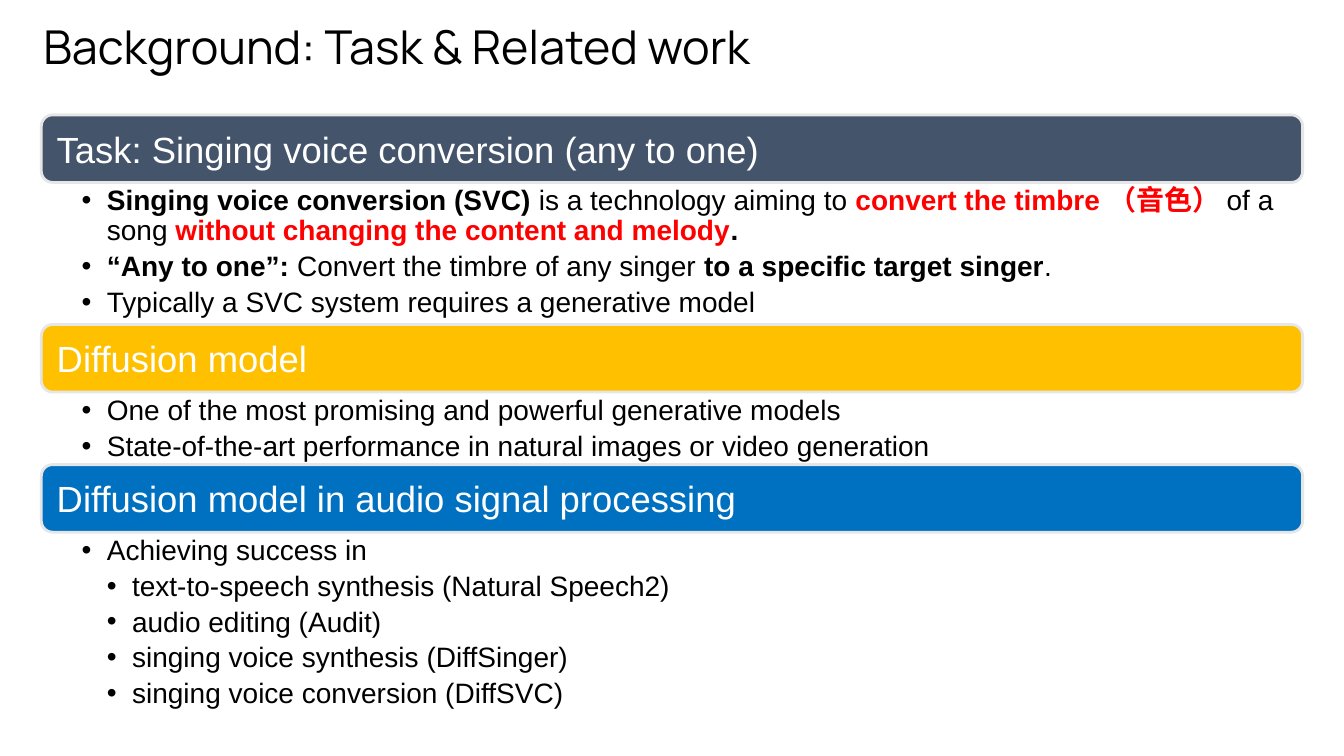
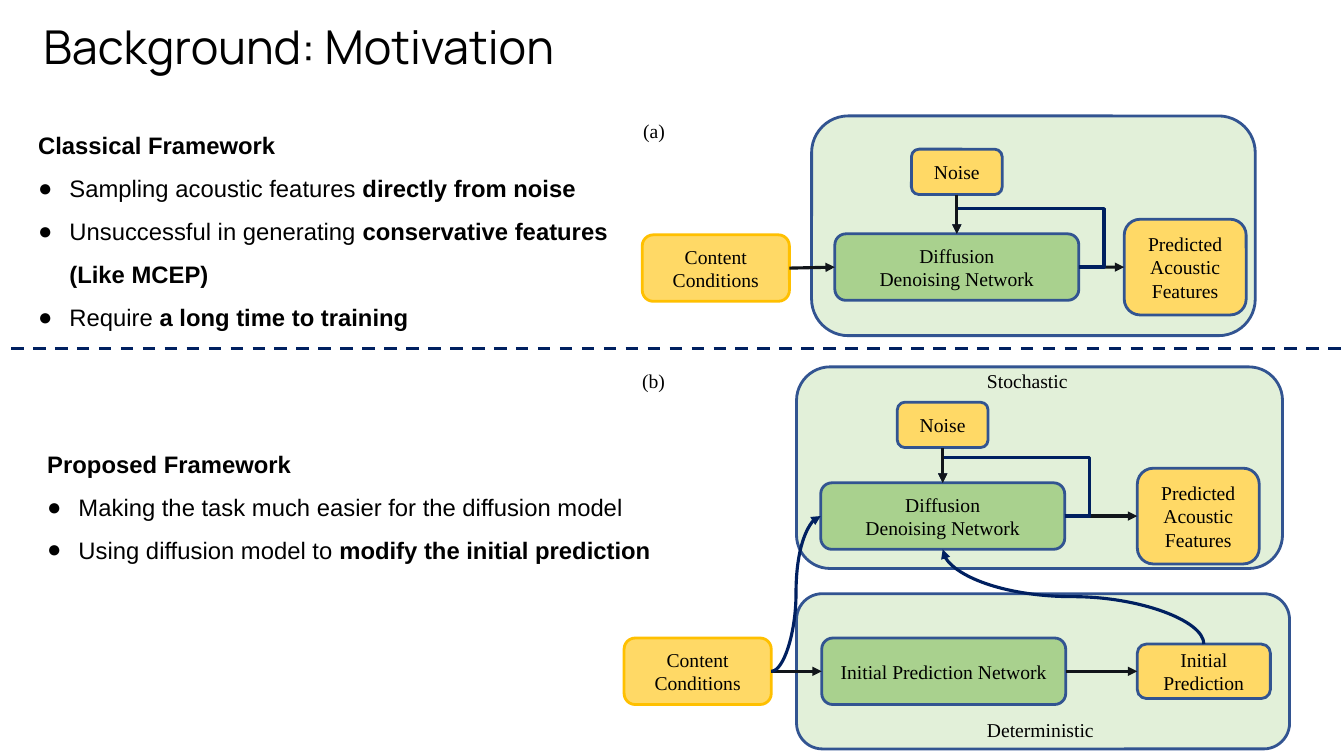
from lxml.etree import SubElement
from pptx import Presentation
from pptx.dml.color import RGBColor
from pptx.enum.dml import MSO_LINE
from pptx.enum.shapes import MSO_CONNECTOR, MSO_SHAPE
from pptx.enum.text import MSO_ANCHOR, PP_ALIGN
from pptx.oxml.ns import qn
from pptx.util import Inches, Pt

COLORS = {
    "black": "000000", "white": "FFFFFF", "red": "FF0000",
    "slate": "44546A", "amber": "FFC000", "blue": "0070C0", "band_line": "E7E6E6",
    "yellow": "FFD966", "green": "A9D18E", "panel": "E2F0D9",
    "outline": "325491", "arrow": "11151A", "navy": "002060",
}
SANS, SERIF, TITLE_FONT = "Arial", "Times New Roman", "Manrope"
TOP, LEFT, BOTTOM, RIGHT = range(4)

# A paragraph is (level, pieces); a piece is (text, bold, color).
SECTIONS = [
    ("Task: Singing voice conversion (any to one)", "slate", 1.41, [
        (1, [("Singing voice conversion (SVC) ", True, "black"),
             ("is a technology aiming to ", False, "black"),
             ("convert the timbre （音色）", True, "red"),
             (" of a song ", False, "black"),
             ("without changing the content and melody", True, "red"),
             (".", True, "black")]),
        (1, [("“Any to one”: ", True, "black"),
             ("Convert the timbre of any singer ", False, "black"),
             ("to a specific target singer", True, "black"),
             (".", False, "black")]),
        (1, [("Typically a SVC system requires a generative model", False, "black")]),
    ]),
    ("Diffusion model", "amber", 0.72, [
        (1, [("One of the most promising and powerful generative models", False, "black")]),
        (1, [("State-of-the-art performance in natural images or video generation",
              False, "black")]),
    ]),
    ("Diffusion model in audio signal processing", "blue", 1.77, [
        (1, [("Achieving success in", False, "black")]),
        (2, [("text-to-speech synthesis (Natural Speech2)", False, "black")]),
        (2, [("audio editing (Audit)", False, "black")]),
        (2, [("singing voice synthesis (DiffSinger)", False, "black")]),
        (2, [("singing voice conversion (DiffSVC)", False, "black")]),
    ]),
]

FRAMEWORKS = [
    ((0.28, 1.11, 5.98, 2.19), [
        (0, [("Classical Framework", True, "black")]),
        (1, [("Sampling acoustic features ", False, "black"),
             ("directly from noise", True, "black")]),
        (1, [("Unsuccessful in generating ", False, "black"),
             ("conservative features \n(Like MCEP)", True, "black")]),
        (1, [("Require ", False, "black"), ("a long time to training", True, "black")]),
    ]),
    ((0.37, 4.27, 6.25, 1.34), [
        (0, [("Proposed Framework", True, "black")]),
        (1, [("Making the task much easier for the diffusion model", False, "black")]),
        (1, [("Using diffusion model to ", False, "black"),
             ("modify the initial prediction", True, "black")]),
    ]),
]
PANELS = [(8.05, 1.15, 4.4, 2.18), (7.9, 5.89, 4.89, 1.54), (7.9, 3.64, 4.82, 2)]
LABELS = [
    ("(a)", (6.28, 1.13, 0.6, 0.4)),
    ("(b)", (6.27, 3.61, 0.6, 0.4)),
    ("Stochastic", (9.69, 3.61, 1.32, 0.4)),
    ("Deterministic", (9.69, 7.07, 1.67, 0.4)),
]
NETWORK_SIZE = (2.42, 0.66)
CONTENT_SIZE = (1.46, 0.66)
NOISE_SIZE = (0.9, 0.45)
FEATURES_SIZE = (1.21, 0.95)


def rgb(name):
    return RGBColor.from_string(COLORS[name])


def style_run(run, size, font, color, bold=False):
    run.font.size = Pt(size)
    run.font.name = font
    run.font.bold = bold
    run.font.color.rgb = rgb(color)


def add_text_box(slide, box, insets=(0.1, 0.05, 0.1, 0.05)):
    text_frame = slide.shapes.add_textbox(*map(Inches, box)).text_frame
    text_frame.word_wrap = True
    (text_frame.margin_left, text_frame.margin_top,
     text_frame.margin_right, text_frame.margin_bottom) = map(Inches, insets)
    return text_frame


def add_label(slide, text, box, size=14, font=SERIF, insets=(0.1, 0.05, 0.1, 0.05)):
    text_frame = add_text_box(slide, box, insets)
    text_frame.text = text
    style_run(text_frame.paragraphs[0].runs[0], size, font, "black")
    return text_frame.paragraphs[0]


def add_slide(presentation, title):
    slide = presentation.slides.add_slide(presentation.slide_layouts[6])
    paragraph = add_label(slide, title, (0.3, 0.11, 12.74, 0.83), 33.3, TITLE_FONT, (0.13,) * 4)
    paragraph.line_spacing = 0.9
    return slide


def set_bullet(paragraph, character, level, indent):
    properties = paragraph._p.get_or_add_pPr()
    properties.set("marL", str(Inches(level * indent)))
    properties.set("indent", str(Inches(-indent)))
    bullet_color = SubElement(properties, qn("a:buClr"))
    SubElement(bullet_color, qn("a:srgbClr")).set("val", COLORS["black"])
    SubElement(properties, qn("a:buFont")).set("typeface", SANS)
    SubElement(properties, qn("a:buChar")).set("char", character)


def write_paragraphs(text_frame, paragraphs, size, spacing, after, character, indent):
    for index, (level, pieces) in enumerate(paragraphs):
        paragraph = text_frame.add_paragraph() if index else text_frame.paragraphs[0]
        paragraph.line_spacing = spacing
        paragraph.space_after = Pt(after)
        if level:
            set_bullet(paragraph, character, level, indent)
        for text, bold, color in pieces:
            for number, line in enumerate(text.split("\n")):
                if number:
                    paragraph.add_line_break()
                run = paragraph.add_run()
                run.text = line
                style_run(run, size, SANS, color, bold)


def add_round_box(slide, box, fill, outline, text="", size=14, font=SERIF,
                  color="black", align=PP_ALIGN.CENTER):
    shape = slide.shapes.add_shape(MSO_SHAPE.ROUNDED_RECTANGLE, *map(Inches, box))
    shape.shadow.inherit = False
    shape.fill.solid()
    shape.fill.fore_color.rgb = rgb(fill)
    shape.line.color.rgb = rgb(outline)
    shape.line.width = Pt(2)
    shape.text_frame.vertical_anchor = MSO_ANCHOR.MIDDLE
    paragraph = shape.text_frame.paragraphs[0]
    paragraph.text = text
    paragraph.alignment = align
    for run in paragraph.runs:
        style_run(run, size, font, color)
    return shape


def add_line(slide, kind, start, end, color, arrow=True, dash=None):
    connector = slide.shapes.add_connector(kind, *map(int, (*start, *end)))
    connector.line.color.rgb = rgb(color)
    connector.line.width = Pt(2.25)
    if dash:
        connector.line.dash_style = dash
    properties = connector._element.spPr
    if arrow:
        SubElement(properties.find(qn("a:ln")), qn("a:tailEnd")).set("type", "triangle")
    SubElement(properties, qn("a:effectLst"))
    return connector


def side(shape, site):
    """Return the middle of one side of a shape."""
    x = {LEFT: 0, RIGHT: 1}.get(site, 0.5)
    y = {TOP: 0, BOTTOM: 1}.get(site, 0.5)
    return shape.left + shape.width * x, shape.top + shape.height * y


def join(slide, source, source_site, target, target_site):
    connector = add_line(slide, MSO_CONNECTOR.STRAIGHT, side(source, source_site),
                         side(target, target_site), "arrow")
    connector.begin_connect(source, source_site)
    connector.end_connect(target, target_site)


def add_loop(slide, network):
    """Lead a line from the network's right side over its top and back in."""
    connector = add_line(slide, MSO_CONNECTOR.ELBOW, side(network, RIGHT),
                         side(network, TOP), "navy")
    geometry = connector._element.spPr.find(qn("a:prstGeom"))
    geometry.set("prst", "bentConnector4")
    guides = geometry.find(qn("a:avLst"))
    reach = Inches(0.25)
    ratios = (-reach / (network.width / 2), 1 + reach / (network.height / 2))
    for number, ratio in enumerate(ratios, 1):
        guide = SubElement(guides, qn("a:gd"))
        guide.set("name", f"adj{number}")
        guide.set("fmla", f"val {round(ratio * 100000)}")


def add_rising_curve(slide, start, end):
    """Curve that leaves upwards and ends upwards, to the left of its start."""
    middle_x, middle_y = (start[0] + end[0]) / 2, (start[1] + end[1]) / 2
    half_width, half_height = (start[1] - end[1]) / 2, (start[0] - end[0]) / 2
    connector = add_line(slide, MSO_CONNECTOR.CURVE,
                         (middle_x - half_width, middle_y + half_height),
                         (middle_x + half_width, middle_y - half_height), "navy")
    connector._element.spPr.find(qn("a:xfrm")).set("rot", str(270 * 60000))


def add_content(slide, left, top):
    return add_round_box(slide, (left, top, *CONTENT_SIZE), "yellow", "amber",
                         "Content\nConditions")


def add_denoiser(slide, left, top, noise_gap, features_gap):
    width, height = NETWORK_SIZE
    network = add_round_box(slide, (left, top, width, height), "green", "outline",
                            "Diffusion\nDenoising Network")
    noise_width, noise_height = NOISE_SIZE
    noise_box = (left + (width - noise_width) / 2, top - noise_gap - noise_height, *NOISE_SIZE)
    noise = add_round_box(slide, noise_box, "yellow", "outline", "Noise")
    features_top = top + (height - FEATURES_SIZE[1]) / 2
    features = add_round_box(slide, (left + width + features_gap, features_top, *FEATURES_SIZE),
                             "yellow", "outline", "Predicted\nAcoustic\nFeatures")
    join(slide, network, RIGHT, features, LEFT)
    add_loop(slide, network)
    join(slide, noise, BOTTOM, network, TOP)
    return network


def build_related_work(presentation):
    slide = add_slide(presentation, "Background: Task & Related work")
    left, top, width, band_height = 0.41, 1.14, 12.51, 0.67
    for heading, color, body_height, paragraphs in SECTIONS:
        band = add_round_box(slide, (left, top, width, band_height), color, "band_line",
                             heading, 26, SANS, "white", PP_ALIGN.LEFT)
        # The rounded corner already insets the text of the band a little.
        band.text_frame.margin_left = Inches(0.12)
        top += band_height
        body = add_text_box(slide, (left, top, width, body_height), (0.4, 0.04, 0.2, 0.04))
        write_paragraphs(body, paragraphs, 20, 0.9, 4, "•", 0.25)
        top += body_height


def build_motivation(presentation):
    slide = add_slide(presentation, "Background: Motivation")
    for panel in PANELS:
        add_round_box(slide, panel, "panel", "outline")
    for box, paragraphs in FRAMEWORKS:
        write_paragraphs(add_text_box(slide, box), paragraphs, 17, 1.5, 0, "●", 0.31)
    for text, box in LABELS:
        add_label(slide, text, box)
    add_line(slide, MSO_CONNECTOR.STRAIGHT, (Inches(0.11), Inches(3.46)),
             (Inches(13.33), Inches(3.46)), "navy", arrow=False, dash=MSO_LINE.DASH)

    classical = add_denoiser(slide, 8.28, 2.32, 0.39, 0.45)
    join(slide, add_content(slide, 6.37, 2.33), RIGHT, classical, LEFT)

    proposed = add_denoiser(slide, 8.14, 4.79, 0.35, 0.72)
    content = add_content(slide, 6.19, 6.33)
    predictor = add_round_box(slide, (8.15, 6.33, *NETWORK_SIZE), "green", "outline",
                              "Initial Prediction Network")
    prediction = add_round_box(slide, (11.28, 6.39, 1.32, 0.54), "yellow", "outline",
                               "Initial\nPrediction")
    join(slide, content, RIGHT, predictor, LEFT)
    join(slide, predictor, RIGHT, prediction, LEFT)
    add_line(slide, MSO_CONNECTOR.CURVE, side(content, RIGHT), side(proposed, LEFT), "navy")
    add_rising_curve(slide, side(prediction, TOP), side(proposed, BOTTOM))


def main():
    presentation = Presentation()
    presentation.slide_width, presentation.slide_height = Inches(13.33), Inches(7.5)
    build_related_work(presentation)
    build_motivation(presentation)
    presentation.save("out.pptx")


if __name__ == "__main__":
    main()
